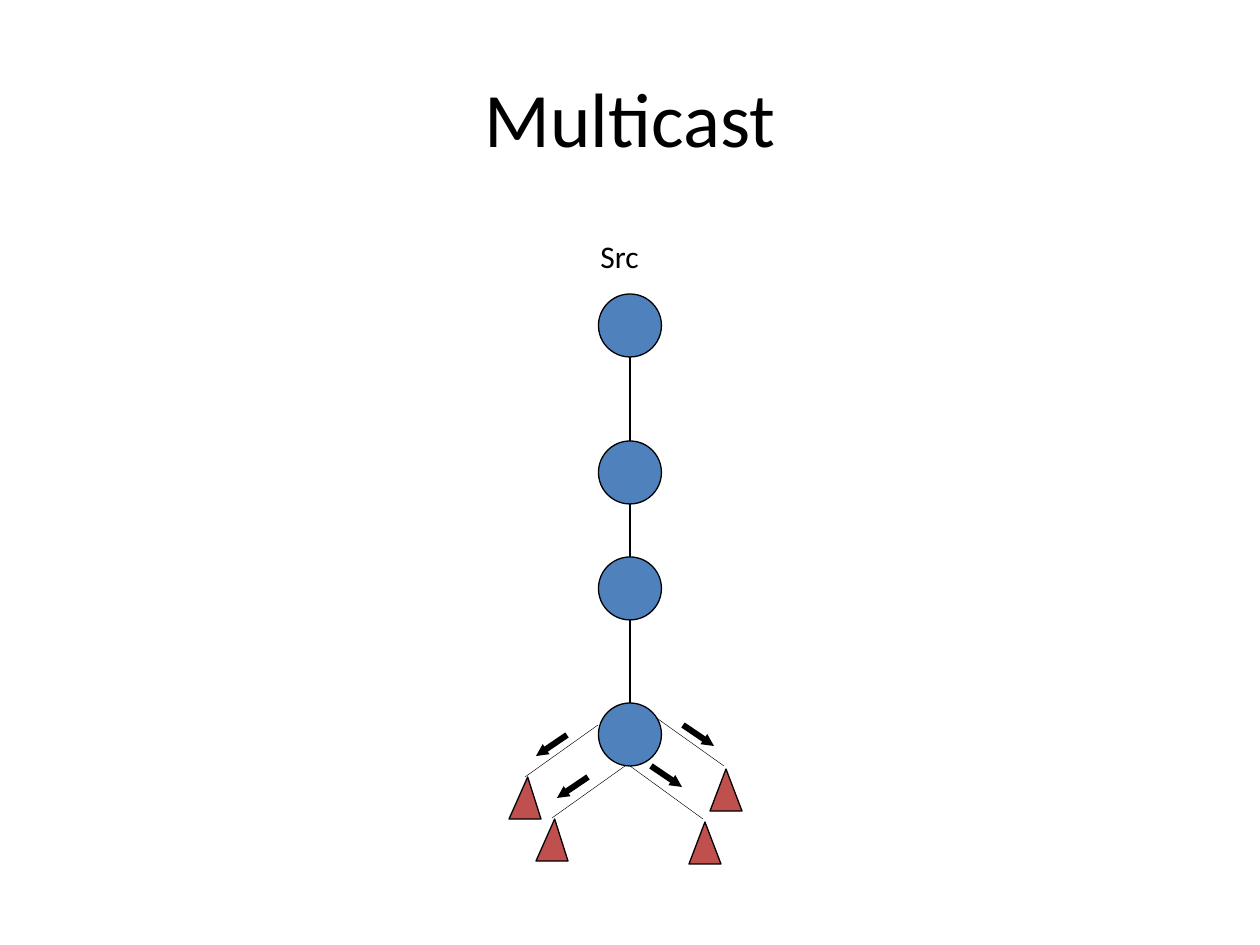
from lxml import etree
from pptx import Presentation
from pptx import util as u
from pptx.dml.color import RGBColor
from pptx.enum import shapes, text
from pptx.oxml.ns import qn

FONT = "Calibri"
COLORS = {"ink": "000000", "router": "4F81BD", "receiver": "C0504D"}


def px(length):
    return u.Emu(round(length * 914400 / 126))


def color(name):
    return RGBColor.from_string(COLORS[name])


def add_run(paragraph, words, size):
    run = paragraph.add_run()
    run.text = words
    run.font.name = FONT
    run.font.size = u.Pt(size)
    run.font.color.rgb = color("ink")


def add_node(slide, kind, left, top, width, height, fill):
    node = slide.shapes.add_shape(kind, px(left), px(top), px(width), px(height))
    node.shadow.inherit = False
    node.fill.solid()
    node.fill.fore_color.rgb = color(fill)
    node.line.color.rgb = color("ink")
    node.line.width = u.Pt(0.75)
    return node


def add_link(slide, start, end, weight, arrow=False):
    link = slide.shapes.add_connector(
        shapes.MSO_CONNECTOR.STRAIGHT, *(px(v) for v in (*start, *end)))
    link.line.color.rgb = color("ink")
    link.line.width = u.Pt(weight)
    properties = link._element.spPr
    if arrow:
        etree.SubElement(properties.find(qn("a:ln")), qn("a:tailEnd"),
                         type="triangle", w="sm", len="sm")
    etree.SubElement(properties, qn("a:effectLst"))


def add_title(slide, left, top, width, height):
    title = slide.shapes.title
    title.left, title.top = px(left), px(top)
    title.width, title.height = px(width), px(height)
    frame = title.text_frame
    frame.vertical_anchor = text.MSO_ANCHOR.MIDDLE
    paragraph = frame.paragraphs[0]
    paragraph.alignment = text.PP_ALIGN.CENTER
    add_run(paragraph, "Multicast", 44)


def add_source_label(slide, left, top, width, height):
    label = slide.shapes.add_textbox(px(left), px(top), px(width), px(height))
    label.text_frame.word_wrap = False
    add_run(label.text_frame.paragraphs[0], "Src", 18)


def add_multicast_tree(slide, left, top, width):
    middle = width // 2
    router = 63
    router_tops = (63, 210, 326, 472)

    def at(x, y):
        return left + x, top + y

    branches = (((126, 535), (199, 588)), ((121, 535), (48, 587)),
                ((94, 494), (21, 546)), ((147, 483), (220, 535)))
    for start, end in branches:
        add_link(slide, at(*start), at(*end), 0.25)

    first, _, third, last = router_tops
    for start, end in ((first + router, third), (third + router, last)):
        add_link(slide, at(middle, start), at(middle, end), 0.75)

    for y in router_tops:
        add_node(slide, shapes.MSO_SHAPE.OVAL, *at(middle - router / 2, y),
                 router, router, "router")

    receivers = ((32, 588, 0.583), (5, 546, 0.583), (185, 591, 0.5), (206, 538, 0.5))
    for x, y, apex in receivers:
        receiver = add_node(slide, shapes.MSO_SHAPE.ISOSCELES_TRIANGLE,
                            *at(x, y), 32, 42, "receiver")
        receiver.adjustments[0] = apex

    packets = ((179, 494, 1), (63, 504, -1), (147, 535, 1), (84, 546, -1))
    for x, y, side in packets:
        add_link(slide, at(x, y), at(x + 31 * side, y + 21), 3.5, arrow=True)

    add_source_label(slide, *at(84, 0), 82, 63)


def main():
    deck = Presentation()
    deck.slide_width, deck.slide_height = px(1260), px(945)
    slide = deck.slides.add_slide(deck.slide_layouts[5])
    add_title(slide, 63, 38, 1134, 158)
    add_multicast_tree(slide, 504, 231, 252)
    deck.save("out.pptx")


if __name__ == "__main__":
    main()
